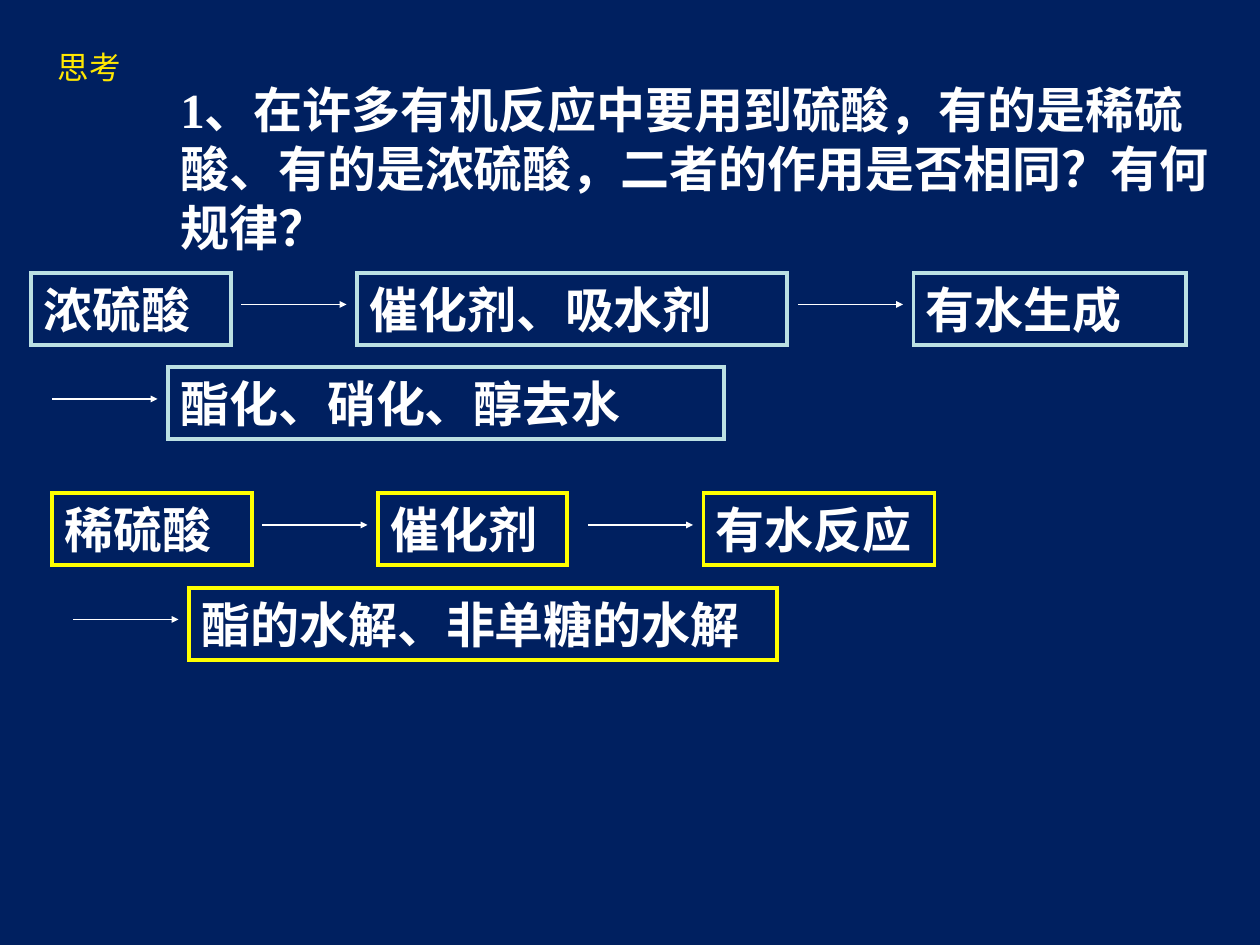
from lxml import etree
from pptx import Presentation
from pptx.dml.color import RGBColor
from pptx.enum.shapes import MSO_CONNECTOR, MSO_SHAPE
from pptx.enum.text import MSO_ANCHOR, MSO_AUTO_SIZE, PP_ALIGN
from pptx.oxml.ns import qn
from pptx.util import Pt

RECTANGLE = MSO_SHAPE.RECTANGLE
STRAIGHT = MSO_CONNECTOR.STRAIGHT
TOP = MSO_ANCHOR.TOP
LEFT = PP_ALIGN.LEFT
CENTER = PP_ALIGN.CENTER
GROW = MSO_AUTO_SIZE.SHAPE_TO_FIT_TEXT

THEME = {
    "background": RGBColor(0x00, 0x20, 0x60),
    "text": RGBColor(0xFF, 0xFF, 0xFF),
    "concentrated": RGBColor(0xBB, 0xE0, 0xE3),
    "dilute": RGBColor(0xFF, 0xFF, 0x00),
    "label": (RGBColor(0xFF, 0xE7, 0x01), RGBColor(0xFE, 0x3E, 0x02)),
    "label_font": "Noto Sans CJK SC",
    "body_font": "Times New Roman",
    "label_size": 18,
    "body_size": 28,
}

LABEL = "思考"
QUESTION = "1、在许多有机反应中要用到硫酸，有的是稀硫酸、有的是浓硫酸，二者的作用是否相同？有何规律？"
CHAINS = [
    ("concentrated", 18, 156, [
        ("浓硫酸", 0, 0, 114),
        ("催化剂、吸水剂", 186, 0, 246),
        ("有水生成", 504, 0, 156),
        ("酯化、硝化、醇去水", 78, 1, 318),
    ]),
    ("dilute", 30, 282, [
        ("稀硫酸", 0, 0, 114),
        ("催化剂", 186, 0, 108),
        ("有水反应", 372, 0, 132),
        ("酯的水解、非单糖的水解", 78, 1, 336),
    ]),
]
ROW_STEP = 54
BOX_HEIGHT = 41
ARROW_LENGTH = 60
ARROW_GAP = 6
ARROW_DROP = 18


def write_body(shape, text):
    frame = shape.text_frame
    frame.word_wrap = True
    frame.auto_size = GROW
    frame.vertical_anchor = TOP
    paragraph = frame.paragraphs[0]
    paragraph.alignment = LEFT
    paragraph._p.get_or_add_pPr().set("hangingPunct", "0")
    run = paragraph.add_run()
    run.text = text
    run.font.name = THEME["body_font"]
    run.font.size = Pt(THEME["body_size"])
    run.font.bold = True
    run.font.color.rgb = THEME["text"]


def add_label(slide):
    frame = slide.shapes.add_textbox(Pt(0), Pt(24), Pt(102), Pt(67)).text_frame
    frame.word_wrap = True
    paragraph = frame.paragraphs[0]
    paragraph.alignment = CENTER
    run = paragraph.add_run()
    run.text = LABEL
    run.font.name = THEME["label_font"]
    run.font.size = Pt(THEME["label_size"])
    run.font.fill.gradient()
    run.font.fill.gradient_angle = 270
    for stop, color in zip(run.font.fill.gradient_stops, THEME["label"]):
        stop.color.rgb = color


def add_step(slide, text, left, top, width, color):
    step = slide.shapes.add_shape(RECTANGLE, Pt(left), Pt(top), Pt(width), Pt(BOX_HEIGHT))
    step.shadow.inherit = False
    step.fill.background()
    step.line.color.rgb = color
    step.line.width = Pt(2.25)
    etree.SubElement(step.line._get_or_add_ln(), qn("a:miter"), lim="800000")
    write_body(step, text)


def add_arrow_into(slide, left, top):
    end = left - ARROW_GAP
    y = Pt(top + ARROW_DROP)
    arrow = slide.shapes.add_connector(STRAIGHT, Pt(end - ARROW_LENGTH), y, Pt(end), y)
    arrow.line.color.rgb = THEME["text"]
    arrow.line.width = Pt(1)
    etree.SubElement(arrow.line._get_or_add_ln(), qn("a:tailEnd"),
                     type="triangle", w="sm", len="sm")
    etree.SubElement(arrow._element.spPr, qn("a:effectLst"))


def main():
    deck = Presentation()
    deck.slide_width, deck.slide_height = Pt(720), Pt(540)
    slide = deck.slides.add_slide(deck.slide_layouts[6])
    slide.background.fill.solid()
    slide.background.fill.fore_color.rgb = THEME["background"]

    add_label(slide)
    write_body(slide.shapes.add_textbox(Pt(96), Pt(42), Pt(624), Pt(75)), QUESTION)

    for acid, chain_left, chain_top, steps in CHAINS:
        for index, (text, offset, row, width) in enumerate(steps):
            left = chain_left + offset
            top = chain_top + row * ROW_STEP
            if index:
                add_arrow_into(slide, left, top)
            add_step(slide, text, left, top, width, THEME[acid])

    deck.save("out.pptx")


if __name__ == "__main__":
    main()
